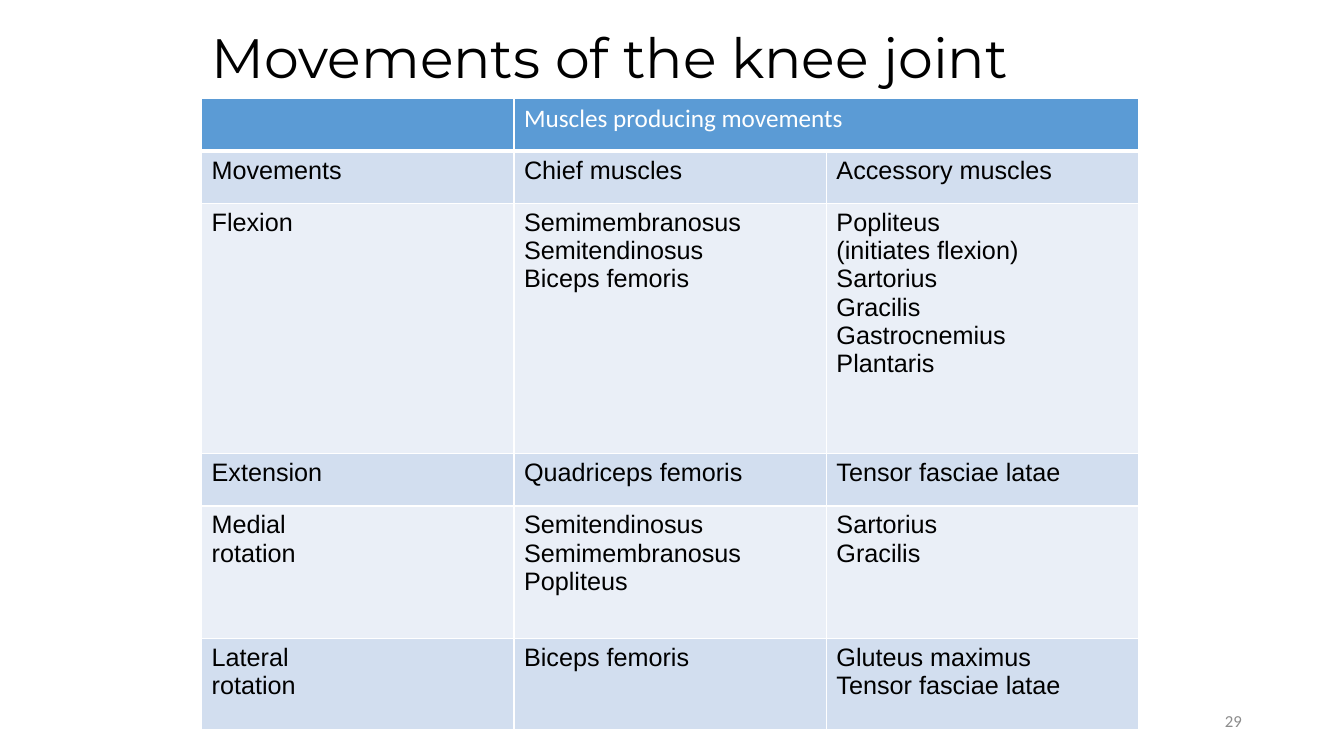
import lxml.etree
import pptx
import pptx.dml.color
import pptx.enum.text
import pptx.oxml.ns
import pptx.util

Cm = pptx.util.Cm
Pt = pptx.util.Pt
RGBColor = pptx.dml.color.RGBColor

BLACK = RGBColor(0x00, 0x00, 0x00)
WHITE = RGBColor(0xFF, 0xFF, 0xFF)
GRAY = RGBColor(0x8C, 0x8C, 0x8C)
HEADER_BLUE = RGBColor(0x5B, 0x9B, 0xD5)
BAND_DARK = RGBColor(0xD2, 0xDE, 0xEF)
BAND_LIGHT = RGBColor(0xEA, 0xEF, 0xF7)

ROW_HEIGHTS = [1.32, 1.32, 6.3, 1.32, 3.33, 2.31]
MOVEMENT_ROWS = [
    ["", "Muscles producing movements", ""],
    ["Movements", "Chief muscles", "Accessory muscles"],
    ["Flexion", "Semimembranosus\nSemitendinosus\nBiceps femoris",
     "Popliteus\n(initiates flexion)\nSartorius\nGracilis\nGastrocnemius\nPlantaris"],
    ["Extension", "Quadriceps femoris", "Tensor fasciae latae"],
    ["Medial\nrotation", "Semitendinosus\nSemimembranosus\nPopliteus",
     "Sartorius\nGracilis"],
    ["Lateral\nrotation", "Biceps femoris",
     "Gluteus maximus\nTensor fasciae latae"],
]


def place(shape, left, top, width, height):
    shape.left, shape.top = Cm(left), Cm(top)
    shape.width, shape.height = Cm(width), Cm(height)


def format_text(text_frame, font_name, size, color):
    for paragraph in text_frame.paragraphs:
        for run in paragraph.runs:
            run.font.name = font_name
            run.font.size = Pt(size)
            run.font.bold = False
            run.font.color.rgb = color


def set_borders(cell, color, bottom_width):
    properties = cell._tc.get_or_add_tcPr()
    for side, width in (("L", 1), ("R", 1), ("T", 1), ("B", bottom_width)):
        line = lxml.etree.SubElement(
            properties, pptx.oxml.ns.qn(f"a:ln{side}"), w=str(Pt(width)))
        fill = lxml.etree.SubElement(line, pptx.oxml.ns.qn("a:solidFill"))
        lxml.etree.SubElement(
            fill, pptx.oxml.ns.qn("a:srgbClr"), val=str(color))


def add_title(slide, left, top, width, height):
    title = slide.shapes.title
    place(title, left, top, width, height)
    text_frame = title.text_frame
    text_frame.text = "Movements of the knee joint"
    text_frame.auto_size = pptx.enum.text.MSO_AUTO_SIZE.NONE
    text_frame.vertical_anchor = pptx.enum.text.MSO_ANCHOR.MIDDLE
    text_frame.paragraphs[0].alignment = pptx.enum.text.PP_ALIGN.LEFT
    text_frame.paragraphs[0].line_spacing = 0.9
    format_text(text_frame, "Montserrat", 39.6, BLACK)


def add_movement_table(slide, left, top, width):
    row_count, column_count = len(MOVEMENT_ROWS), len(MOVEMENT_ROWS[0])
    table = slide.shapes.add_table(
        row_count, column_count, Cm(left), Cm(top),
        Cm(width), Cm(sum(ROW_HEIGHTS))).table
    for column in table.columns:
        column.width = Cm(width / column_count)
    for row_index, texts in enumerate(MOVEMENT_ROWS):
        table.rows[row_index].height = Cm(ROW_HEIGHTS[row_index])
        is_header = row_index == 0
        band = BAND_DARK if row_index % 2 else BAND_LIGHT
        for column_index, text in enumerate(texts):
            cell = table.cell(row_index, column_index)
            set_borders(cell, WHITE, 3 if is_header else 1)
            cell.fill.solid()
            cell.fill.fore_color.rgb = HEADER_BLUE if is_header else band
            cell.text_frame.text = text
            format_text(cell.text_frame, "Calibri" if is_header else "Arial",
                        18, WHITE if is_header else BLACK)
    table.cell(0, 1).merge(table.cell(0, 2))


def add_slide_number(slide, left, top, width, height):
    number_box = slide.shapes.add_textbox(
        Cm(left), Cm(top), Cm(width), Cm(height))
    text_frame = number_box.text_frame
    text_frame.word_wrap = True
    text_frame.vertical_anchor = pptx.enum.text.MSO_ANCHOR.MIDDLE
    text_frame.text = "29"
    text_frame.paragraphs[0].alignment = pptx.enum.text.PP_ALIGN.RIGHT
    format_text(text_frame, "Calibri", 12, GRAY)


def main():
    presentation = pptx.Presentation()
    presentation.slide_width = Cm(33.87)
    presentation.slide_height = Cm(19.05)
    slide = presentation.slides.add_slide(presentation.slide_layouts[5])
    add_title(slide, 5.08, 0.64, 23.7, 1.75)
    add_movement_table(slide, 5.08, 2.49, 23.62)
    add_slide_number(slide, 23.93, 17.65, 7.62, 1.02)
    presentation.save("out.pptx")


if __name__ == "__main__":
    main()
